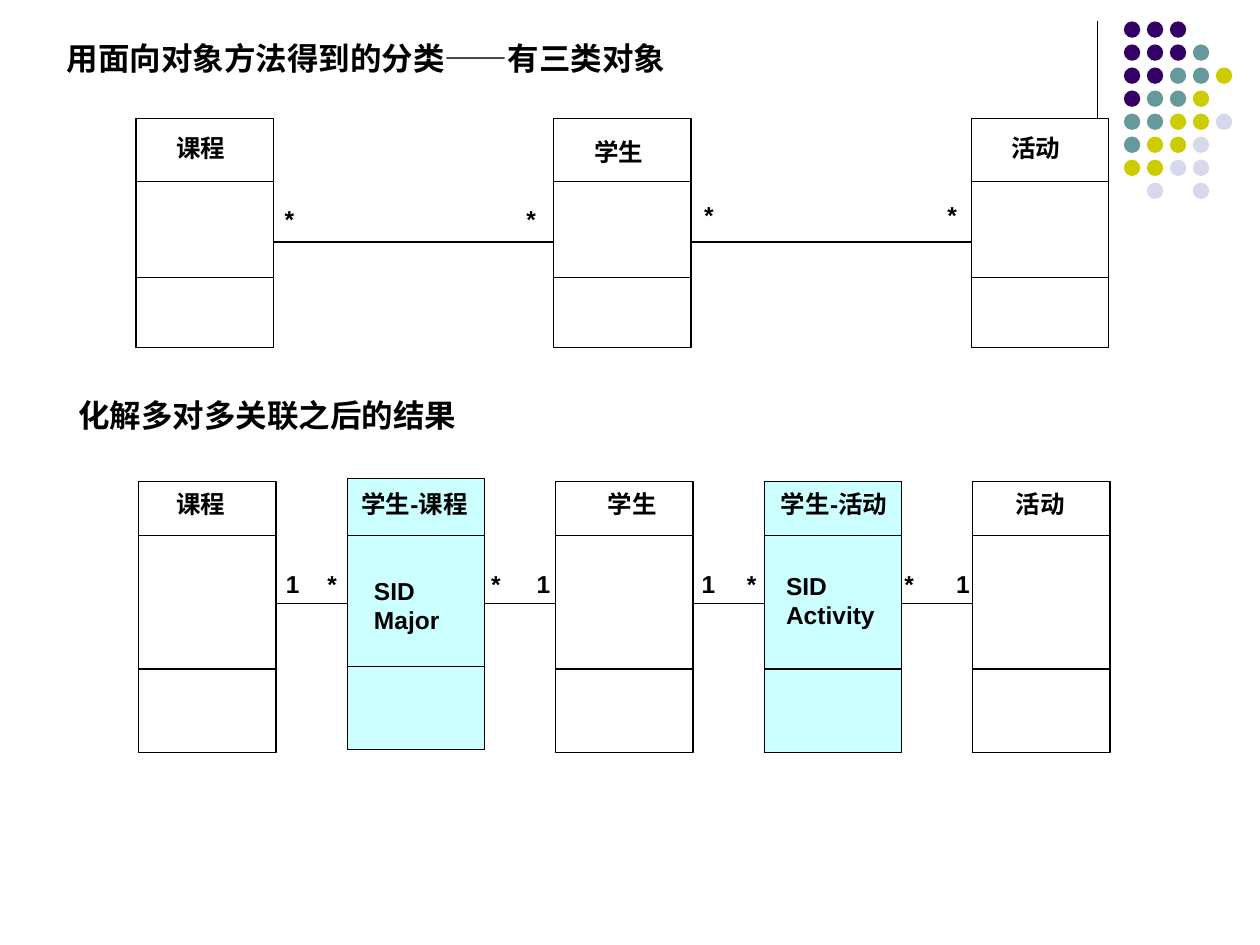
from dataclasses import dataclass

from lxml import etree
from pptx import Presentation
from pptx.dml.color import RGBColor
from pptx.enum.shapes import MSO_CONNECTOR, MSO_SHAPE
from pptx.enum.text import MSO_AUTO_SIZE, PP_ALIGN
from pptx.oxml.ns import qn
from pptx.util import Inches, Pt

STRAIGHT = MSO_CONNECTOR.STRAIGHT
RECT, OVAL = MSO_SHAPE.RECTANGLE, MSO_SHAPE.OVAL
LEFT, CENTER = PP_ALIGN.LEFT, PP_ALIGN.CENTER


@dataclass(frozen=True)
class Theme:
    """Colours, font and type sizes of the slide."""
    font: str = "Arial"
    ink: str = "000000"
    plain: str = "FFFFFF"
    link: str = "CCFFFF"
    purple: str = "330066"
    teal: str = "669999"
    olive: str = "CCCC00"
    mist: str = "D8D8EC"
    heading: int = 18
    label: int = 14
    stroke: float = 0.75


THEME = Theme()
DOT_COLORS = {"P": THEME.purple, "T": THEME.teal, "O": THEME.olive, "M": THEME.mist}
DOT_ROWS = ["PPP", "PPPT", "PPTTO", "PTTO", "TTOOM", "TOOM", "OOMM", " M M"]
BOX_W = 1.09

# left, top, width, text
TOP_NAMES = [(1.08, 1.01, 1.03, "课程"), (4.42, 1.04, 0.98, "学生"),
             (7.75, 1.01, 0.94, "活动")]
BOTTOM_NAMES = [(1.08, 3.83, 1.03, "课程"), (2.74, 3.83, 1.1, "学生-课程"),
                (4.54, 3.83, 0.96, "学生"), (6.08, 3.83, 1.08, "学生-活动"),
                (7.75, 3.83, 1.01, "活动")]
MULTIPLICITIES = [(2.16, 1.57, 0.42, "*"), (4.08, 1.57, 0.42, "*"),
                  (5.49, 1.54, 0.42, "*"), (7.42, 1.54, 0.42, "*"),
                  (2.17, 4.47, 0.42, "1"), (2.5, 4.47, 0.37, "*"),
                  (3.8, 4.47, 0.37, "*"), (4.16, 4.47, 0.42, "1"),
                  (5.47, 4.47, 0.42, "1"), (5.83, 4.47, 0.37, "*"),
                  (7.08, 4.47, 0.37, "*"), (7.49, 4.47, 0.42, "1")]
ATTRIBUTES = [(2.87, 4.52, 0.97, "SID\nMajor"), (6.14, 4.48, 1.03, "SID\nActivity")]


def rgb(value):
    """Turn a hex string into a colour."""
    return RGBColor.from_string(value)


def spread(first, last, count):
    """Return evenly spaced positions from first to last."""
    return [first + (last - first) * i / (count - 1) for i in range(count)]


def add_text(s, x, y, w, text, *, h=0.53, size=THEME.label, align=LEFT,
             inset=(0.1, 0.05), wrap=False, grow=False):
    """Add a bold text box with one paragraph per line."""
    tf = s.shapes.add_textbox(Inches(x), Inches(y), Inches(w), Inches(h)).text_frame
    tf.word_wrap = wrap
    tf.auto_size = MSO_AUTO_SIZE.SHAPE_TO_FIT_TEXT if grow else MSO_AUTO_SIZE.NONE
    tf.margin_left = tf.margin_right = Inches(inset[0])
    tf.margin_top = tf.margin_bottom = Inches(inset[1])
    for i, line in enumerate(text.split("\n")):
        p = tf.add_paragraph() if i else tf.paragraphs[0]
        p.alignment = align
        r = p.add_run()
        r.text = line
        r.font.name, r.font.size, r.font.bold = THEME.font, Pt(size), True
        r.font.color.rgb = rgb(THEME.ink)


def add_line(shapes, x1, y1, x2, y2):
    """Add a thin straight line without a shadow."""
    line = shapes.add_connector(STRAIGHT, Inches(x1), Inches(y1), Inches(x2), Inches(y2))
    line.line.color.rgb = rgb(THEME.ink)
    line.line.width = Pt(THEME.stroke)
    etree.SubElement(line._element.spPr, qn("a:effectLst"))


def add_filled(shapes, kind, x, y, w, h, fill, outlined=False):
    """Add a flat filled shape with an optional outline."""
    sp = shapes.add_shape(kind, Inches(x), Inches(y), Inches(w), Inches(h))
    sp.shadow.inherit = False
    sp.fill.solid()
    sp.fill.fore_color.rgb = rgb(fill)
    if outlined:
        sp.line.color.rgb = rgb(THEME.ink)
        sp.line.width = Pt(THEME.stroke)
    else:
        sp.line.fill.background()


def add_class_box(s, x, y, h, dividers, fill=THEME.plain):
    """Add a grouped class box split by horizontal dividers."""
    shapes = s.shapes.add_group_shape().shapes
    add_filled(shapes, RECT, x, y, BOX_W, h, fill, outlined=True)
    for divider in dividers:
        add_line(shapes, x, divider, x + BOX_W, divider)


def add_associations(s, lefts, y):
    """Join each class box to the next at height y."""
    for x, following in zip(lefts, lefts[1:]):
        add_line(s.shapes, x + BOX_W, y, following, y)


def add_dots(s):
    """Add the rule and the dot pattern in the top right corner."""
    add_line(s.shapes, 8.71, 0.17, 8.71, 1.83)
    shapes = s.shapes.add_group_shape().shapes
    for y, row in zip(spread(0.17, 1.45, 8), DOT_ROWS):
        for x, key in zip(spread(8.92, 9.65, 5), row):
            if key in DOT_COLORS:
                add_filled(shapes, OVAL, x, y, 0.13, 0.13, DOT_COLORS[key])


def add_top_diagram(s):
    """Add the three classes with many-to-many associations."""
    lefts = spread(1.08, 7.71, 3)
    add_associations(s, lefts, 1.92)
    for x in lefts:
        add_class_box(s, x, 0.94, 1.82, (1.44, 2.2))


def add_bottom_diagram(s):
    """Add the five classes with the associations resolved."""
    lefts = spread(1.1, 7.72, 5)
    add_associations(s, lefts, 4.79)
    for i, x in enumerate(lefts):
        y, lower = (3.8, 5.29) if i == 1 else (3.82, 5.31)
        add_class_box(s, x, y, 2.15, (4.25, lower), THEME.link if i % 2 else THEME.plain)


def main():
    """Build the slide and save it."""
    prs = Presentation()
    prs.slide_width, prs.slide_height = Inches(10), Inches(7.5)
    s = prs.slides.add_slide(prs.slide_layouts[6])
    add_dots(s)
    add_top_diagram(s)
    add_bottom_diagram(s)
    for name in TOP_NAMES + BOTTOM_NAMES:
        add_text(s, *name, align=CENTER)
    for multiplicity in MULTIPLICITIES:
        add_text(s, *multiplicity)
    for attributes in ATTRIBUTES:
        add_text(s, *attributes, h=0.75)
    heading = {"h": 0.3, "size": THEME.heading, "inset": (0, 0), "grow": True}
    add_text(s, 0.53, 0.31, 6.78, "用面向对象方法得到的分类——有三类对象", wrap=True, **heading)
    add_text(s, 0.62, 3.14, 3, "化解多对多关联之后的结果", **heading)
    prs.save("out.pptx")


if __name__ == "__main__":
    main()
